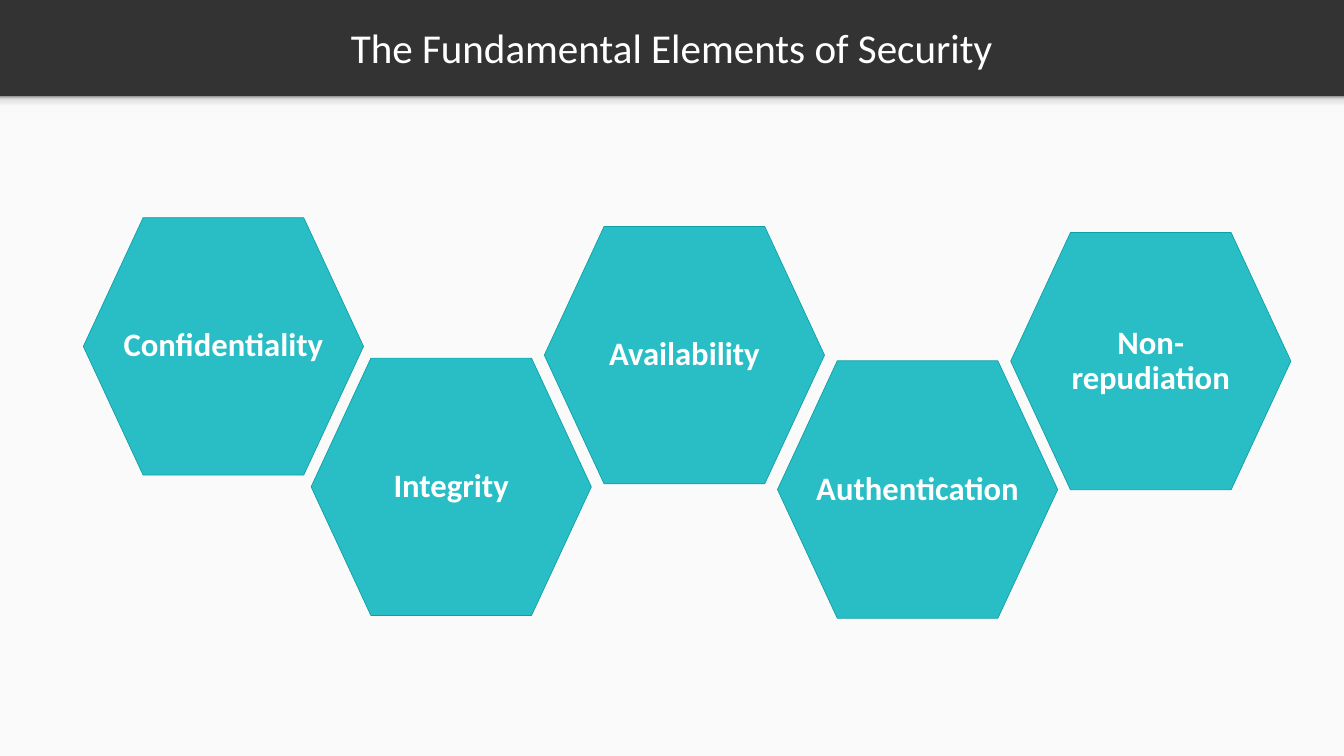
from dataclasses import dataclass
from lxml import etree
from pptx import Presentation
from pptx.dml.color import RGBColor
from pptx.enum import shapes, text
from pptx.oxml import ns
from pptx.util import Inches, Pt


@dataclass
class Theme:
    font: str = "Calibri"
    dark: str = "333333"
    pale: str = "FAFAFA"
    teal: str = "29BEC6"
    edge: str = "0EA0A5"
    white: str = "FFFFFF"
    shade: tuple = ((0, "F9F9F9"), (36, "F9F9F9"), (80, "DEDEDE"), (100, "999999"))
    head: int = 44
    label: int = 35


theme = Theme()


def paint(fill, color):
    fill.solid()
    fill.fore_color.rgb = RGBColor.from_string(color)


def write(shape, words, size, bold, pad_x, pad_y):
    frame = shape.text_frame
    frame.text = words
    frame.word_wrap = True
    frame.auto_size = text.MSO_AUTO_SIZE.NONE
    frame.vertical_anchor = text.MSO_ANCHOR.MIDDLE
    frame.margin_left = frame.margin_right = Inches(pad_x)
    frame.margin_top = frame.margin_bottom = Inches(pad_y)
    para = frame.paragraphs[0]
    para.alignment = text.PP_ALIGN.CENTER
    font = para.runs[0].font
    font.name = theme.font
    font.size = Pt(size)
    font.bold = bold
    font.color.rgb = RGBColor.from_string(theme.white)
    return para


deck = Presentation()
deck.slide_width = Inches(20)
deck.slide_height = Inches(11.25)
slide = deck.slides.add_slide(deck.slide_layouts[5])
paint(slide.background.fill, theme.dark)

title = slide.shapes.title
title.left, title.top = Inches(0.23), Inches(0.04)
title.width, title.height = Inches(19.54), Inches(1.32)
write(title, "The Fundamental Elements of Security", theme.head, False, 0.2, 0.2)

rect = shapes.MSO_SHAPE.RECTANGLE
panel = slide.shapes.add_shape(rect, 0, Inches(1.44), Inches(20), Inches(9.81))
paint(panel.fill, theme.pale)
strip = slide.shapes.add_shape(rect, 0, Inches(1.43), Inches(20), Inches(0.24))
strip.fill.gradient()
strip.fill.gradient_angle = 90
stops = strip.element.spPr.find(ns.qn("a:gradFill")).find(ns.qn("a:gsLst"))
for stop in list(stops):
    stops.remove(stop)
for place, color in theme.shade:
    stop = etree.SubElement(stops, ns.qn("a:gs"), pos=str(place * 1000))
    etree.SubElement(stop, ns.qn("a:srgbClr"), val=color)
for band in (panel, strip):
    band.line.fill.background()
    band.shadow.inherit = False

wide, high, slant = 4.17, 3.83, 0.89
hexes = [
    ("Confidentiality", 1.24, 3.24),
    ("Integrity", 4.63, 5.33),
    ("Availability", 8.1, 3.37),
    ("Authentication", 11.57, 5.37),
    ("Non-repudiation", 15.04, 3.46),
]
for words, left, top in hexes:
    right, base, mid = left + wide, top + high, top + high / 2
    points = [
        (left + slant, top),
        (right - slant, top),
        (right, mid),
        (right - slant, base),
        (left + slant, base),
    ]
    path = slide.shapes.build_freeform(Inches(left), Inches(mid))
    path.add_line_segments([(Inches(x), Inches(y)) for x, y in points], close=True)
    tile = path.convert_to_shape()
    paint(tile.fill, theme.teal)
    tile.line.color.rgb = RGBColor.from_string(theme.edge)
    tile.line.width = Pt(0.75)
    tile.shadow.inherit = False
    para = write(tile, words, theme.label, True, 0.49, 0.45)
    para.line_spacing = 0.9

deck.save("out.pptx")
